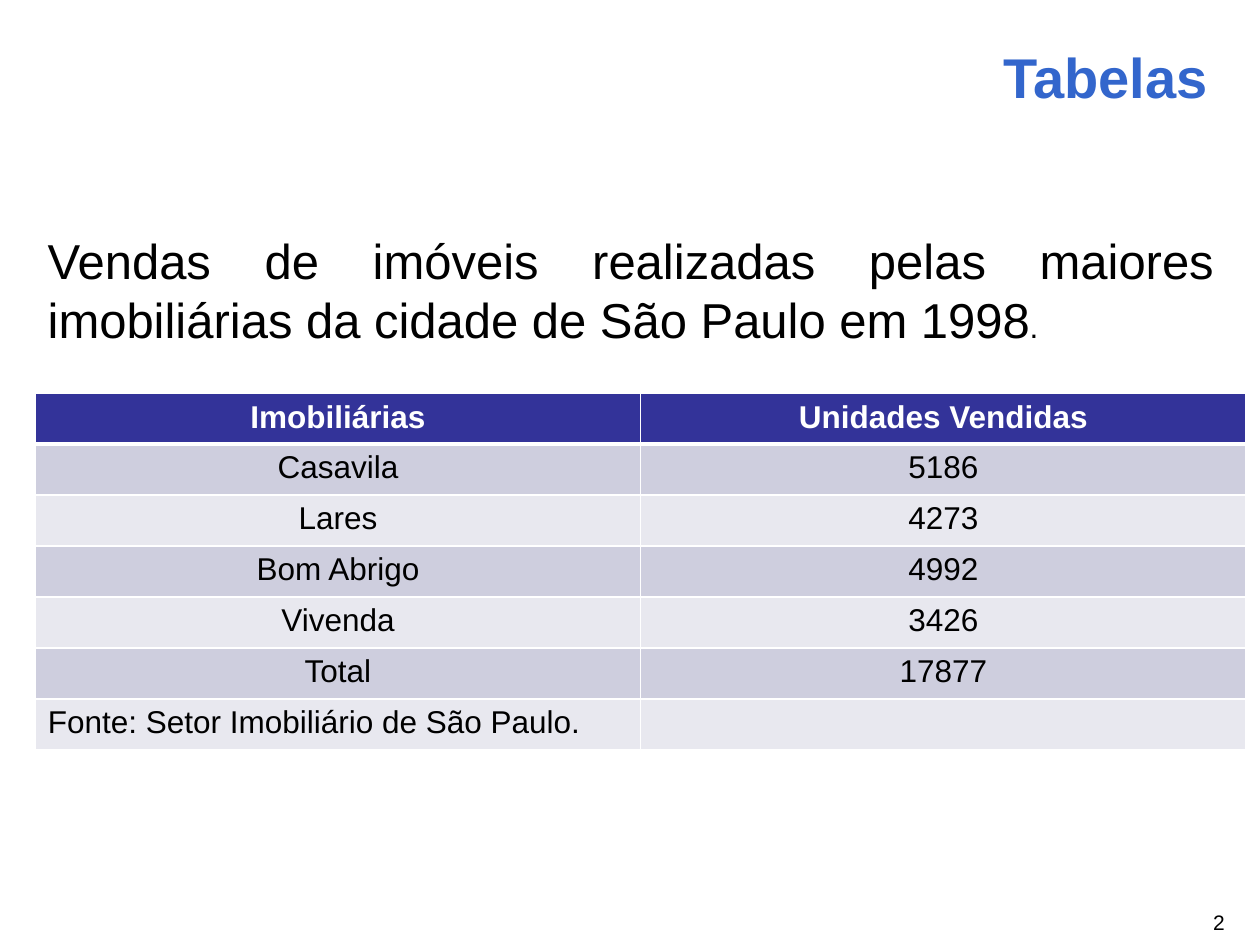
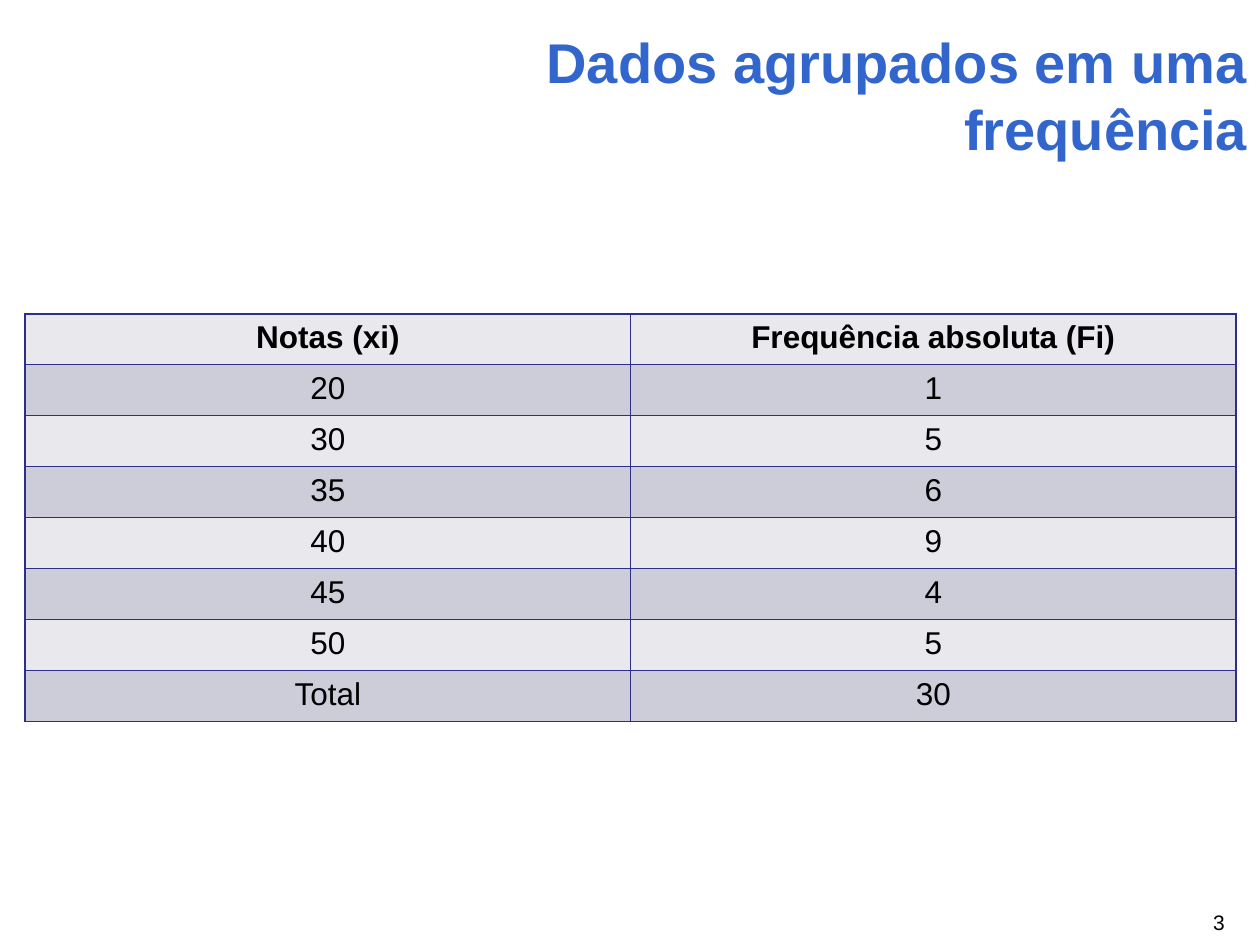
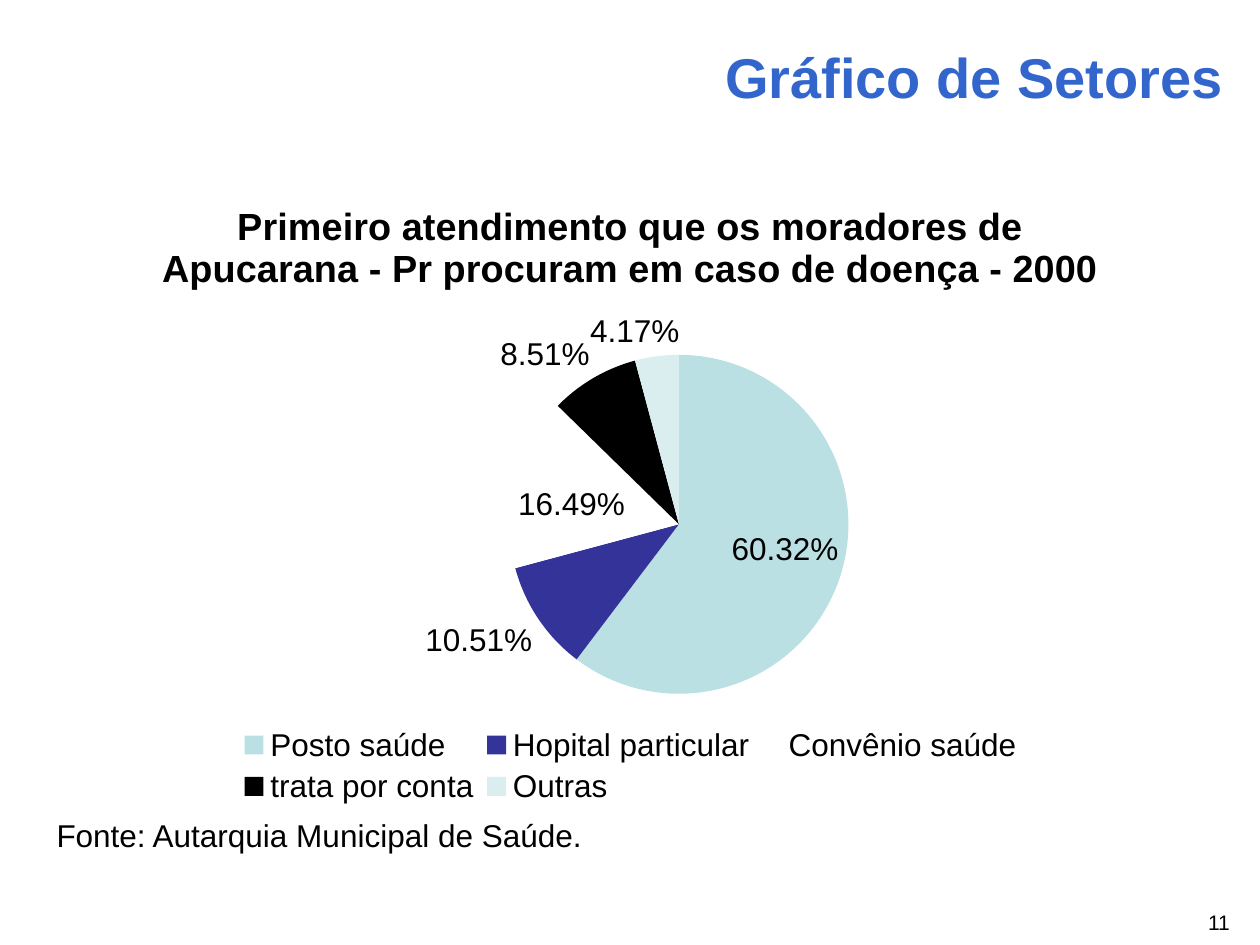
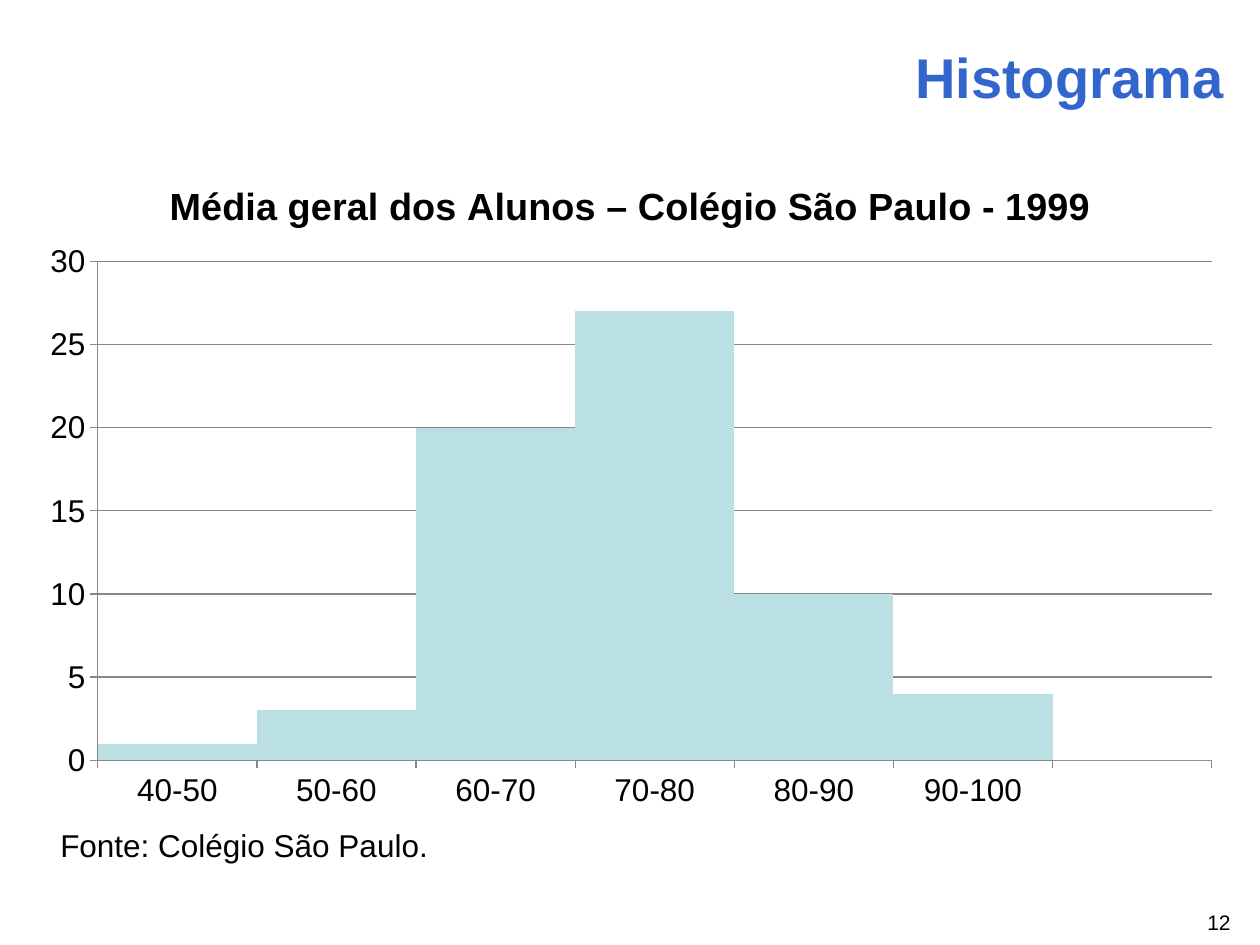
from lxml import etree
from pptx import Presentation
from pptx.chart.data import CategoryChartData
from pptx.dml.color import RGBColor
from pptx.enum.chart import XL_CHART_TYPE as ChartType
from pptx.enum.chart import XL_LABEL_POSITION as LabelPosition
from pptx.enum.chart import XL_LEGEND_POSITION as LegendPosition
from pptx.enum.chart import XL_TICK_MARK as TickMark
from pptx.enum.text import MSO_ANCHOR as Anchor
from pptx.enum.text import MSO_AUTO_SIZE as AutoSize
from pptx.enum.text import PP_ALIGN as Align
from pptx.oxml import parse_xml
from pptx.oxml.ns import nsdecls, qn
from pptx.util import Inches, Pt

FONT = "Arial"
BLACK, WHITE = "000000", "FFFFFF"
TITLE_BLUE, NAVY, BORDER_NAVY = "3366CC", "333399", "2D2D8A"
AQUA, PALE_AQUA, AXIS_GRAY = "BBE0E3", "DAEDEF", "878787"
TITLE_PLACE = (1.93, 0.13, 7.88, 0.95)
TABLE_WIDTH, ROW_HEIGHT = 9.61, 0.405


def rgb(value):
    return RGBColor.from_string(value)


def set_font(font, size, color=BLACK, bold=False):
    font.name, font.size, font.bold = FONT, Pt(size), bold
    font.color.rgb = rgb(color)


def set_border(cell, edge, color, width):
    """Draw one edge (L, R, T or B) of a cell; call before filling the cell."""
    line = etree.SubElement(cell._tc.get_or_add_tcPr(), qn(f"a:ln{edge}"), w=str(Pt(width)))
    fill = etree.SubElement(line, qn("a:solidFill"))
    etree.SubElement(fill, qn("a:srgbClr"), val=color)


def layout_xml(x, y, width, height, inner=False):
    """Manual chart layout, in fractions of the chart's size."""
    target = '<c:layoutTarget val="inner"/>' if inner else ""
    return parse_xml(
        f'<c:layout {nsdecls("c")}><c:manualLayout>{target}'
        '<c:xMode val="edge"/><c:yMode val="edge"/>'
        f'<c:x val="{x}"/><c:y val="{y}"/><c:w val="{width}"/><c:h val="{height}"/>'
        '</c:manualLayout></c:layout>')


class Lesson:
    """Holds the deck, its style and the slide being built."""

    def __init__(self):
        self.deck = Presentation()
        self.deck.slide_width, self.deck.slide_height = Inches(10), Inches(7.5)
        self.page = None

    def start_page(self, title, number, title_place=TITLE_PLACE):
        self.page = self.deck.slides.add_slide(self.deck.slide_layouts[6])
        self.text(str(number), (9.36, 7.17, 0.63, 0.3), size=12, align=Align.CENTER, grow=True)
        self.text(title, title_place, size=32, color=TITLE_BLUE, bold=True,
                  align=Align.RIGHT, anchor=Anchor.MIDDLE)

    def text(self, words, place, size=18, color=BLACK, bold=False, align=Align.LEFT,
             anchor=Anchor.TOP, wrap=True, grow=False):
        box = self.page.shapes.add_textbox(*map(Inches, place))
        frame = box.text_frame
        frame.word_wrap, frame.vertical_anchor = wrap, anchor
        frame.auto_size = AutoSize.SHAPE_TO_FIT_TEXT if grow else AutoSize.NONE
        para = frame.paragraphs[0]
        para.text, para.alignment = words, align
        set_font(para.font, size, color, bold)
        return para

    def source(self, words, place):
        self.text(words, place, wrap=False, grow=True)

    def table(self, rows, left, top, bands, border, header_fill=None, header_color=BLACK,
              header_rule=1):
        """Banded table; bands are the fills of even and odd rows."""
        columns = len(rows[0])
        place = (left, top, TABLE_WIDTH, ROW_HEIGHT * len(rows))
        table = self.page.shapes.add_table(len(rows), columns, *map(Inches, place)).table
        table.first_row = table.horz_banding = False
        for r, row in enumerate(rows):
            table.rows[r].height = Inches(ROW_HEIGHT)
            for c, words in enumerate(row):
                cell = table.cell(r, c)
                for edge in "LRTB":
                    under_header = (r, edge) in ((0, "B"), (1, "T"))
                    set_border(cell, edge, border, header_rule if under_header else 1)
                cell.fill.solid()
                cell.fill.fore_color.rgb = rgb(header_fill if r == 0 and header_fill
                                               else bands[r % 2])
                para = cell.text_frame.paragraphs[0]
                para.text = words
                para.alignment = Align.LEFT if words.startswith("Fonte") else Align.CENTER
                set_font(para.font, 18, header_color if r == 0 else BLACK, bold=r == 0)

    def chart(self, kind, title, categories, values, place, plot_layout, number_format="General"):
        data = CategoryChartData(number_format=number_format)
        data.categories = categories
        data.add_series("Series 1", values)
        chart = self.page.shapes.add_chart(kind, *map(Inches, place), data).chart
        set_font(chart.font, 18)
        chart.has_legend = False
        chart.has_title = True
        para = chart.chart_title.text_frame.paragraphs[0]
        para.text = title
        set_font(para.font, 21.6, bold=True)
        plot_area = chart._chartSpace.chart.plotArea
        for old in plot_area.findall(qn("c:layout")):
            plot_area.remove(old)
        plot_area.insert(0, layout_xml(*plot_layout, inner=True))
        return chart

    def pie(self, title, slices, place):
        """slices: (category, share, color) for each sector."""
        names, shares, colors = zip(*slices)
        chart = self.chart(ChartType.PIE, title, names, shares, place,
                           (0.4, 0.28, 0.28, 0.54), "0.00%")
        plot = chart.plots[0]
        plot.vary_by_categories = True
        for index, color in enumerate(colors):
            fill = plot.series[0].points[index].format.fill
            fill.solid()
            fill.fore_color.rgb = rgb(color)
        plot.has_data_labels = True
        labels = plot.data_labels
        labels.show_value, labels.show_percentage = True, False
        labels.number_format, labels.number_format_is_linked = "0.00%", False
        labels.position = LabelPosition.BEST_FIT
        set_font(labels.font, 18)
        chart.has_legend = True
        legend = chart.legend
        legend.position, legend.include_in_layout = LegendPosition.BOTTOM, False
        set_font(legend.font, 18)
        legend._element.find(qn("c:legendPos")).addnext(layout_xml(0.17, 0.86, 0.66, 0.14))

    def histogram(self, title, categories, counts, place):
        chart = self.chart(ChartType.COLUMN_CLUSTERED, title, categories, counts, place,
                           (0.06, 0.16, 0.92, 0.75))
        plot = chart.plots[0]
        plot.gap_width, plot.vary_by_categories = 0, False
        fill = plot.series[0].format.fill
        fill.solid()
        fill.fore_color.rgb = rgb(AQUA)
        values = chart.value_axis
        values.minimum_scale, values.maximum_scale, values.major_unit = 0, 30, 5
        values.has_major_gridlines = True
        chart.category_axis.has_major_gridlines = False
        for axis in (values, chart.category_axis):
            axis.major_tick_mark, axis.minor_tick_mark = TickMark.OUTSIDE, TickMark.NONE
            set_font(axis.tick_labels.font, 18)
        for line in (values.format.line, values.major_gridlines.format.line,
                     chart.category_axis.format.line):
            line.color.rgb, line.width = rgb(AXIS_GRAY), Pt(0.75)


def main():
    lesson = Lesson()

    lesson.start_page("Tabelas ", 2)
    lesson.table(
        [("Imobiliárias", "Unidades Vendidas"), ("Casavila", "5186"), ("Lares", "4273"),
         ("Bom Abrigo", "4992"), ("Vivenda", "3426"), ("Total", "17877"),
         ("Fonte: Setor Imobiliário de São Paulo.", "")],
        0.28, 3.12, bands=("E8E8EF", "CECEDE"), border=WHITE,
        header_fill=NAVY, header_color=WHITE, header_rule=3)
    para = lesson.text("Vendas de imóveis realizadas pelas maiores imobiliárias "
                       "da cidade de São Paulo em 1998",
                       (0.28, 1.78, 9.45, 1.04), size=28, align=Align.JUSTIFY, grow=True)
    full_stop = para.add_run()
    full_stop.text, full_stop.font.size = ". ", Pt(18)

    lesson.start_page("Dados agrupados em uma frequência", 3, (2.12, 0, 7.88, 1.5))
    lesson.table(
        [("Notas (xi)", "Frequência absoluta (Fi)"), ("20", "1"), ("30", "5"), ("35", "6"),
         ("40", "9"), ("45", "4"), ("50", "5"), ("Total", "30")],
        0.2, 2.49, bands=("E8E8ED", "CDCDDA"), border=BORDER_NAVY)

    lesson.start_page("Gráfico de Setores", 11)
    lesson.pie(
        "Primeiro atendimento que os moradores de Apucarana - Pr "
        "procuram em caso de doença - 2000",
        [("Posto saúde", 0.6032, AQUA), ("Hopital particular", 0.1051, NAVY),
         ("Convênio saúde", 0.1649, WHITE), ("trata por conta", 0.0851, BLACK),
         ("Outras", 0.0417, PALE_AQUA)],
        (0.2, 1.39, 9.61, 5.04))
    lesson.source("Fonte: Autarquia Municipal de Saúde.", (0.35, 6.43, 4.41, 0.4))

    lesson.start_page("Histograma", 12)
    lesson.histogram(
        "Média geral dos Alunos – Colégio São Paulo - 1999",
        ["40-50", "50-60", "60-70", "70-80", "80-90", "90-100"],
        [1, 3, 20, 27, 10, 4, 0], (0.2, 1.23, 9.61, 5.28))
    lesson.source("Fonte: Colégio São Paulo.", (0.38, 6.51, 3.15, 0.4))

    lesson.deck.save("out.pptx")


if __name__ == "__main__":
    main()
